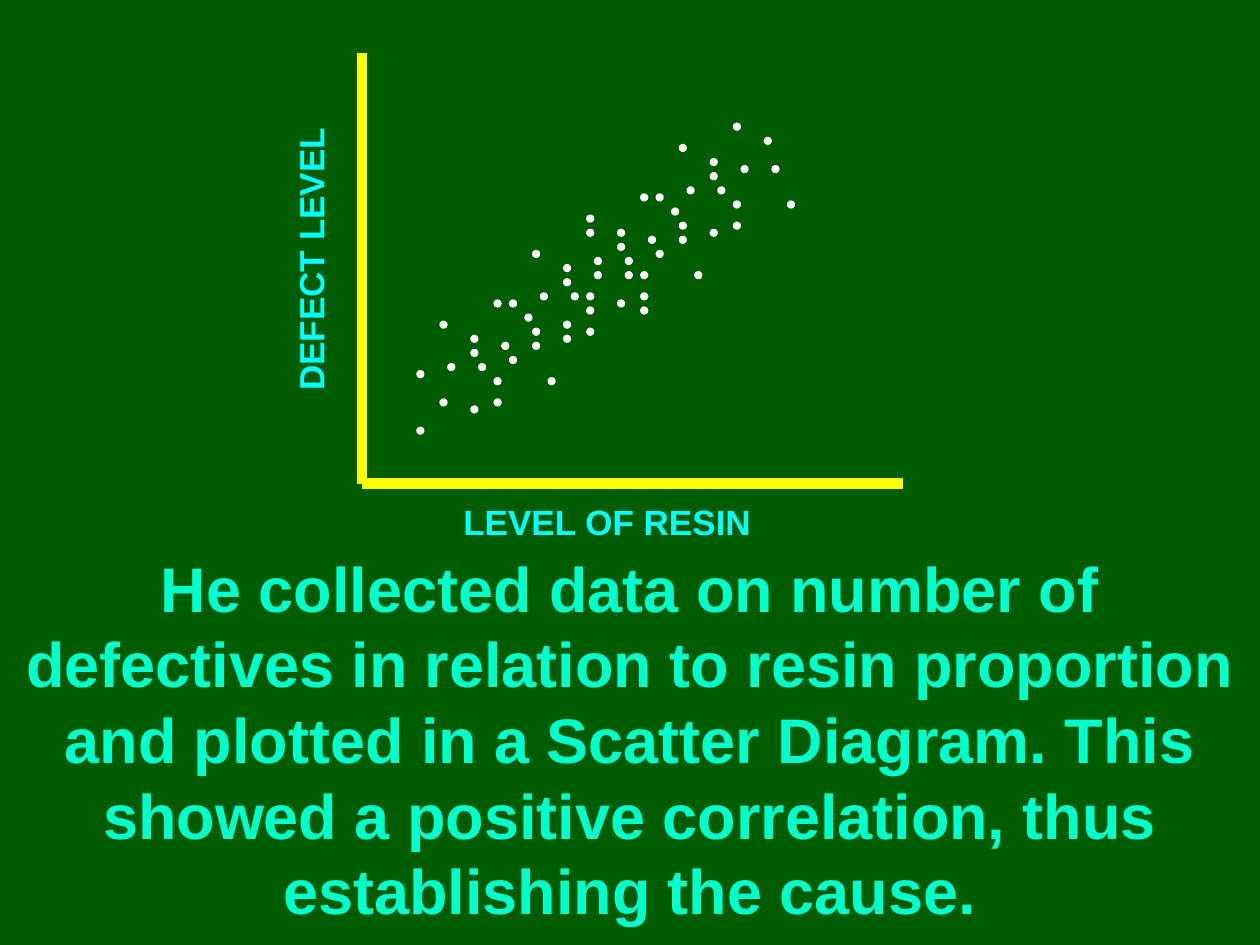
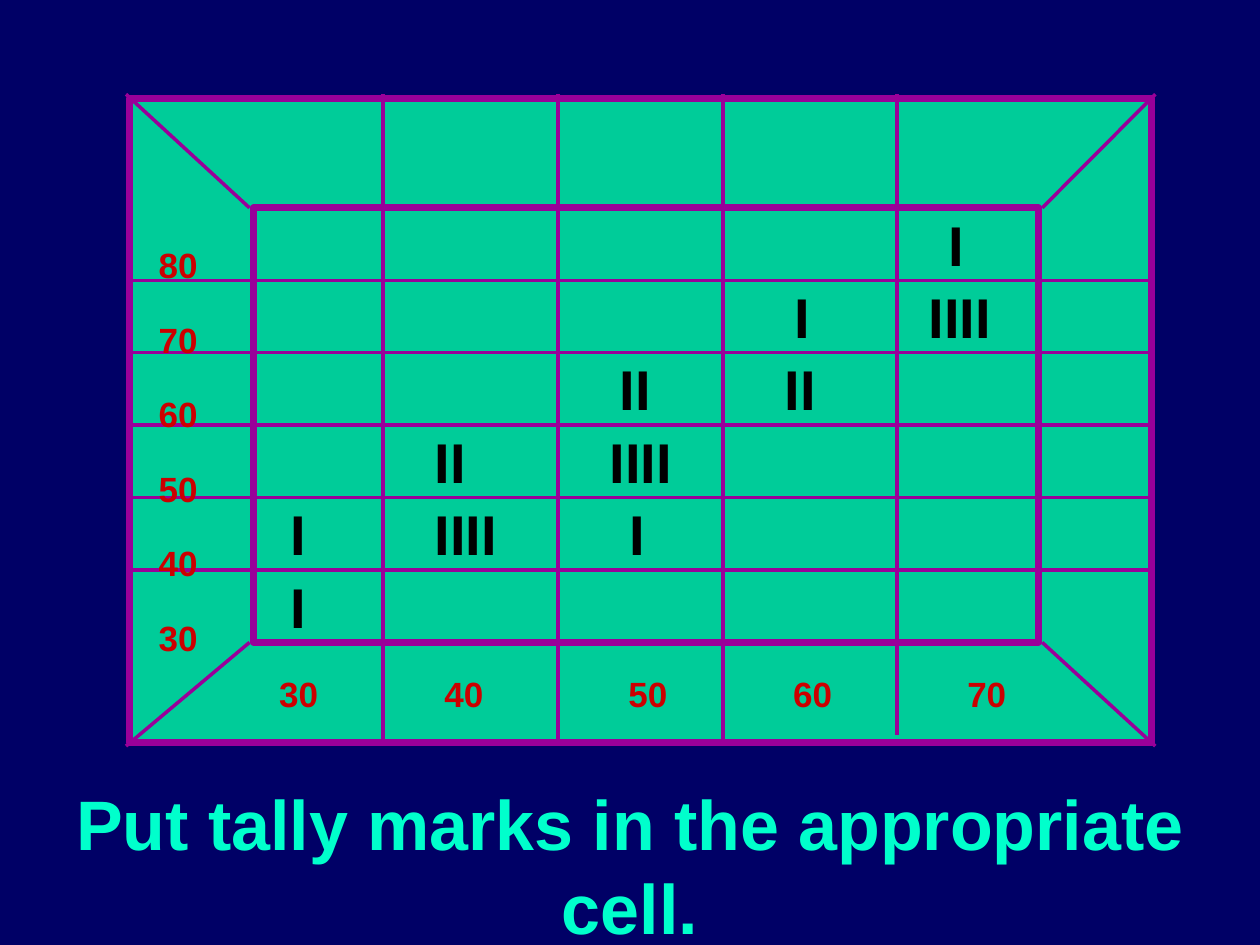
from lxml import etree
from pptx import Presentation
from pptx import util as u
from pptx.dml.color import RGBColor
from pptx.enum import shapes, text
from pptx.oxml import ns

Cm = u.Cm
GREEN = RGBColor(0x00, 0x5C, 0x00)
NAVY = RGBColor(0x00, 0x00, 0x66)
MINT = RGBColor(0x00, 0xFF, 0xCC)
CYAN = RGBColor(0x00, 0xFF, 0xFF)
YELLOW = RGBColor(0xFF, 0xFF, 0x00)
WHITE = RGBColor(0xFF, 0xFF, 0xFF)
TEAL = RGBColor(0x00, 0xCC, 0x99)
PURPLE = RGBColor(0x99, 0x00, 0x99)
RED = RGBColor(0xCC, 0x00, 0x00)
BLACK = RGBColor(0x00, 0x00, 0x00)
FONT = "Arial"


def add_text(s, words, x, y, w, h, size=20, color=RED, align=None, wrap=False,
             rotation=0, spacing=None, before=0, tabs=()):
    """Add a text box with one paragraph per line of words."""
    sp = s.shapes.add_textbox(Cm(x), Cm(y), Cm(w), Cm(h))
    sp.rotation = rotation
    tf = sp.text_frame
    tf.word_wrap = wrap
    tf.auto_size = text.MSO_AUTO_SIZE.SHAPE_TO_FIT_TEXT
    for i, line in enumerate(words.split("\n")):
        p = tf.paragraphs[0] if i == 0 else tf.add_paragraph()
        p.alignment = align
        if spacing:
            p.line_spacing = spacing
        if i and before:
            p.space_before = u.Pt(before)
        if tabs:
            stops = etree.SubElement(p._p.get_or_add_pPr(), ns.qn("a:tabLst"))
            for pos in tabs:
                etree.SubElement(stops, ns.qn("a:tab"), pos=str(Cm(pos)), algn="l")
        r = p.add_run()
        r.text = line
        r.font.name, r.font.size, r.font.bold = FONT, u.Pt(size), True
        r.font.color.rgb = color


def add_line(s, x1, y1, x2, y2, color, width):
    c = s.shapes.add_connector(shapes.MSO_CONNECTOR.STRAIGHT,
                               Cm(x1), Cm(y1), Cm(x2), Cm(y2))
    c.line.color.rgb = color
    c.line.width = u.Pt(width)
    etree.SubElement(c._element.spPr, ns.qn("a:effectLst"))


prs = Presentation()
prs.slide_width, prs.slide_height = Cm(25.4), Cm(19.05)

# Backgrounds and captions
captions = [
    (GREEN, 10.95, 7.87, 36,
     "He collected data on number of defectives in relation to resin proportion "
     "and plotted in a Scatter Diagram. This showed a positive correlation, "
     "thus establishing the cause."),
    (NAVY, 15.62, 3.63, 40, "Put tally marks in the appropriate cell."),
]
for back, top, height, size, words in captions:
    s = prs.slides.add_slide(prs.slide_layouts[6])
    s.background.fill.solid()
    s.background.fill.fore_color.rgb = back
    add_text(s, words, 0, top, 25.4, height, size=size, color=MINT,
             align=text.PP_ALIGN.CENTER, wrap=True)
scatter, tally = prs.slides

# Scatter diagram: axes and their titles
add_line(scatter, 7.3, 1.06, 7.3, 9.75, YELLOW, 6)
add_line(scatter, 7.3, 9.75, 18.2, 9.75, YELLOW, 6)
add_text(scatter, "DEFECT LEVEL", 3.35, 4.67, 5.82, 1.1, color=CYAN, rotation=270)
add_text(scatter, "LEVEL OF RESIN", 9.09, 9.96, 6.32, 1.1, color=CYAN)

# Scatter diagram: one cluster of dots, repeated up the slope on a fine grid
cluster = [(10, 11), (0, 7), (3, 11), (0, 15), (3, 0), (8, 6), (7, 2), (4, 6)]
shifts = [(0, 0), (7, -3), (12, -10), (19, -13),
          (19, -15), (26, -18), (31, -25), (38, -28)]
dots = {(cx + dx, cy + dy) for dx, dy in shifts for cx, cy in cluster}
STEP_X, STEP_Y = 7.47 / 48, 3.99 / 28
for col, row in sorted(dots):
    sp = scatter.shapes.add_shape(
        shapes.MSO_SHAPE.OVAL, Cm(8.41 + col * STEP_X), Cm(6.48 + row * STEP_Y),
        Cm(0.13), Cm(0.13))
    sp.shadow.inherit = False
    sp.fill.solid()
    sp.fill.fore_color.rgb = WHITE
    sp.line.color.rgb = WHITE
    sp.line.width = u.Pt(1)

# Tally sheet: outer and inner frame
for x, y, w, h in [(2.62, 1.98, 20.6, 12.98), (5.11, 4.19, 15.82, 8.76)]:
    sp = tally.shapes.add_shape(shapes.MSO_SHAPE.RECTANGLE, Cm(x), Cm(y), Cm(w), Cm(h))
    sp.shadow.inherit = False
    sp.fill.solid()
    sp.fill.fore_color.rgb = TEAL
    sp.line.color.rgb = PURPLE
    sp.line.width = u.Pt(4)

# Tally sheet: columns, rows and corner diagonals
LEFT, TOP, RIGHT, BOTTOM = 2.54, 1.9, 23.29, 15.04
GRID_TOP, GRID_BOTTOM, ROW = 4.19, 12.95, 1.46
for x, end in [(7.72, BOTTOM), (11.25, BOTTOM), (14.58, BOTTOM), (18.08, 14.81)]:
    add_line(tally, x, TOP, x, end, PURPLE, 2)
for i in range(1, 6):
    y = GRID_TOP + i * ROW
    add_line(tally, LEFT, y, RIGHT, y, PURPLE, 2)
for inner_y, outer_y in [(GRID_TOP, TOP), (GRID_BOTTOM, BOTTOM)]:
    for inner_x, outer_x in [(5.03, LEFT), (21.01, RIGHT)]:
        add_line(tally, inner_x, inner_y, outer_x, outer_y, PURPLE, 2)

# Tally sheet: scales
add_text(tally, "80\n70\n60\n50\n40\n30", 2.95, 4.62, 1.65, 8.56,
         wrap=True, spacing=1.2, before=13.75)
add_text(tally, "30\t40\t50\t60\t70", 5.38, 13.44, 15.2, 1.1,
         tabs=(3.33, 7.04, 10.36, 13.87))

# Tally sheet: marks as (row from the top, left edge, count)
marks = [(0, 18.87, 1), (1, 15.77, 1), (1, 18.47, 4), (2, 12.24, 2),
         (2, 15.57, 2), (3, 8.51, 2), (3, 12.04, 4), (4, 5.61, 1),
         (4, 8.51, 4), (4, 12.45, 1), (5, 5.61, 1)]
for row, x, count in marks:
    add_text(tally, "I" * count, x, 4.11 + row * ROW, 0.51 + 0.32 * count, 1.6,
             size=32, color=BLACK)

prs.save("out.pptx")
